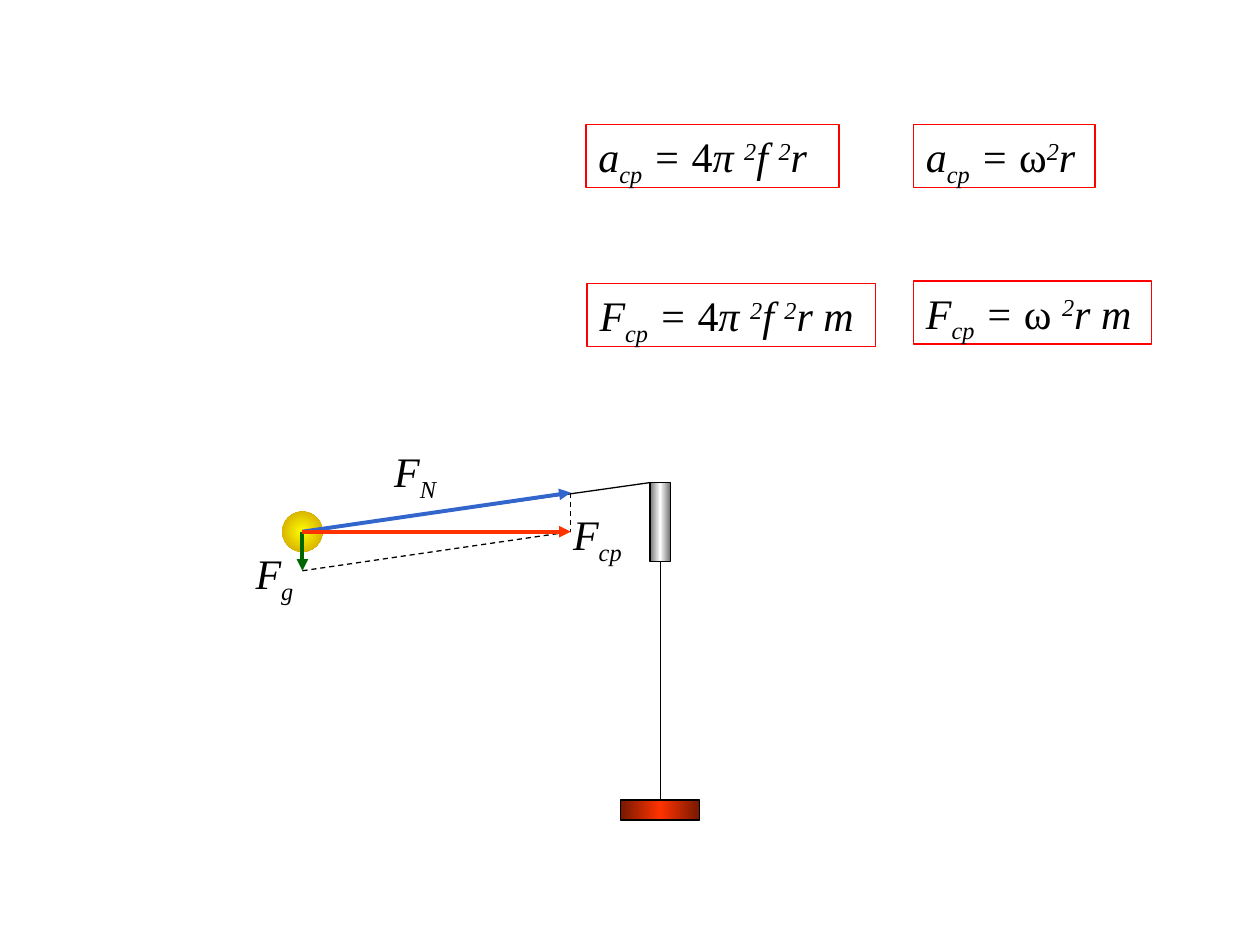
from dataclasses import dataclass

from lxml import etree
from pptx import Presentation
from pptx.dml.color import RGBColor
from pptx.enum.dml import MSO_LINE
from pptx.enum.shapes import MSO_CONNECTOR, MSO_SHAPE
from pptx.enum.text import MSO_ANCHOR, MSO_AUTO_SIZE, PP_ALIGN
from pptx.oxml.ns import qn
from pptx.util import Inches, Pt

STRAIGHT, DASH = MSO_CONNECTOR.STRAIGHT, MSO_LINE.DASH
RECTANGLE, OVAL = MSO_SHAPE.RECTANGLE, MSO_SHAPE.OVAL
TOP_SIDE, BOTTOM_SIDE = 0, 2


@dataclass(frozen=True)
class Theme:
    font: str = "Times New Roman"
    size: int = 24
    ink: str = "000000"
    paper: str = "FFFFFF"
    frame: str = "FF0000"
    tension: str = "3366CC"
    weight: str = "006600"
    centripetal: str = "FF3300"
    ball: tuple = ("FFFF00", "CC9900")
    pillar: tuple = ("767676", "FFFFFF", "767676")
    base: tuple = ("761800", "FF3300", "761800")
    thin: float = 0.75
    thick: float = 2.25


THEME = Theme()

# Spans are (text, style); the default style is italic on the baseline.
ITALIC, UPRIGHT, SUB, SUP = "italic", "upright", "sub", "sup"
BASELINE = {SUB: "-25000", SUP: "30000"}
EQUALS = [("cp", SUB), (" = ", ITALIC)]
BY_FREQUENCY = EQUALS + [("4", UPRIGHT), ("π ", ITALIC), ("2", SUP),
                         ("f ", ITALIC), ("2", SUP)]

# Formulas: (left, top, width, spans)
FORMULAS = [
    (4.65, 0.99, 2.01, [("a", ITALIC), *BY_FREQUENCY, ("r", ITALIC)]),
    (7.25, 0.99, 1.44, [("a", ITALIC), *EQUALS, ("ω", UPRIGHT), ("2", SUP), ("r", ITALIC)]),
    (4.66, 2.25, 2.29, [("F", ITALIC), *BY_FREQUENCY, ("r m", ITALIC)]),
    (7.25, 2.23, 1.89, [("F", ITALIC), *EQUALS, ("ω ", UPRIGHT), ("2", SUP), ("r m", ITALIC)]),
]
# Force labels: (left, top, width, subscript)
LABELS = [(3.03, 3.49, 0.55, "N"), (1.93, 4.3, 0.52, "g"), (4.45, 3.99, 0.61, "cp")]
TEXT_HEIGHT = 0.5

# Force diagram: the weight closes the parallelogram of forces.
BALL = (2.4, 4.22)
BALL_SIZE = 0.32
REACH, RISE = 2.13, 0.31
TENSION_TIP = (BALL[0] + REACH, BALL[1] - RISE)
CENTRIPETAL_TIP = (BALL[0] + REACH, BALL[1])
WEIGHT_TIP = (BALL[0], BALL[1] + RISE)
STAND_X = 5.24
PILLAR_TOP, BASE_TOP = 3.83, 6.35
LONG, SHORT = 0.63, 0.16


def color(code):
    return RGBColor.from_string(code)


def add_shape(page, kind, left, top, width, height, outline=None):
    shape = page.shapes.add_shape(kind, *map(Inches, (left, top, width, height)))
    shape.shadow.inherit = False
    if outline:
        shape.line.color.rgb = color(outline)
        shape.line.width = Pt(THEME.thin)
    else:
        shape.line.fill.background()
    return shape


def fill_gradient(shape, colors, radial=False):
    """Spread the colours evenly, from left to right or from the centre out."""
    shape.fill.gradient()
    gradient = shape._element.spPr.find(qn("a:gradFill"))
    for child in list(gradient):
        gradient.remove(child)
    stops = etree.SubElement(gradient, qn("a:gsLst"))
    for index, code in enumerate(colors):
        position = 100000 * index // (len(colors) - 1)
        stop = etree.SubElement(stops, qn("a:gs"), pos=str(position))
        etree.SubElement(stop, qn("a:srgbClr"), val=code)
    if radial:
        area = etree.SubElement(gradient, qn("a:path"), path="circle")
        etree.SubElement(area, qn("a:fillToRect"), l="50000", t="50000", r="50000", b="50000")
    else:
        etree.SubElement(gradient, qn("a:lin"), ang="0", scaled="1")


def write_spans(box, spans):
    frame = box.text_frame
    frame.word_wrap = False
    frame.auto_size = MSO_AUTO_SIZE.SHAPE_TO_FIT_TEXT
    frame.vertical_anchor = MSO_ANCHOR.TOP
    para = frame.paragraphs[0]
    para.alignment = PP_ALIGN.LEFT
    para.font.name = THEME.font
    para.font.size = Pt(THEME.size)
    para.font.color.rgb = color(THEME.ink)
    for text, style in spans:
        span = para.add_run()
        span.text = text
        span.font.italic = style != UPRIGHT
        # Runs carry the type too, so shape styles cannot override it.
        span.font.name = THEME.font
        span.font.size = Pt(THEME.size)
        span.font.color.rgb = color(THEME.ink)
        if style in BASELINE:
            span._r.get_or_add_rPr().set("baseline", BASELINE[style])


def add_line(page, start, end, code=THEME.ink, width=THEME.thin, dashed=False, arrow=False):
    line = page.shapes.add_connector(STRAIGHT, *map(Inches, (*start, *end)))
    line.line.color.rgb = color(code)
    line.line.width = Pt(width)
    if dashed:
        line.line.dash_style = DASH
    if arrow:
        etree.SubElement(line.line._get_or_add_ln(), qn("a:tailEnd"), type="triangle")
    etree.SubElement(line._element.spPr, qn("a:effectLst"))
    return line


def add_stand(page):
    pillar = add_shape(page, RECTANGLE, STAND_X - SHORT / 2, PILLAR_TOP, SHORT, LONG, THEME.ink)
    fill_gradient(pillar, THEME.pillar)
    base = add_shape(page, RECTANGLE, STAND_X - LONG / 2, BASE_TOP, LONG, SHORT, THEME.ink)
    fill_gradient(base, THEME.base)
    rod = add_line(page, (STAND_X, PILLAR_TOP + LONG), (STAND_X, BASE_TOP))
    rod.begin_connect(pillar, BOTTOM_SIDE)
    rod.end_connect(base, TOP_SIDE)


def add_forces(page):
    for start in (WEIGHT_TIP, TENSION_TIP):
        add_line(page, start, CENTRIPETAL_TIP, dashed=True)
    for tip, code in ((WEIGHT_TIP, THEME.weight), (TENSION_TIP, THEME.tension),
                      (CENTRIPETAL_TIP, THEME.centripetal)):
        add_line(page, BALL, tip, code, THEME.thick, arrow=True)


def main():
    deck = Presentation()
    deck.slide_width, deck.slide_height = Inches(10), Inches(7.5)
    page = deck.slides.add_slide(deck.slide_layouts[6])

    add_line(page, BALL, (STAND_X - SHORT / 2, PILLAR_TOP))
    for left, top, width, spans in FORMULAS:
        box = add_shape(page, RECTANGLE, left, top, width, TEXT_HEIGHT, THEME.frame)
        box.fill.solid()
        box.fill.fore_color.rgb = color(THEME.paper)
        write_spans(box, spans)

    ball = add_shape(page, OVAL, BALL[0] - BALL_SIZE / 2, BALL[1] - BALL_SIZE / 2,
                     BALL_SIZE, BALL_SIZE)
    fill_gradient(ball, THEME.ball, radial=True)
    add_stand(page)
    add_forces(page)
    for left, top, width, subscript in LABELS:
        box = page.shapes.add_textbox(*map(Inches, (left, top, width, TEXT_HEIGHT)))
        write_spans(box, [("F", ITALIC), (subscript, SUB)])

    deck.save("out.pptx")


if __name__ == "__main__":
    main()
